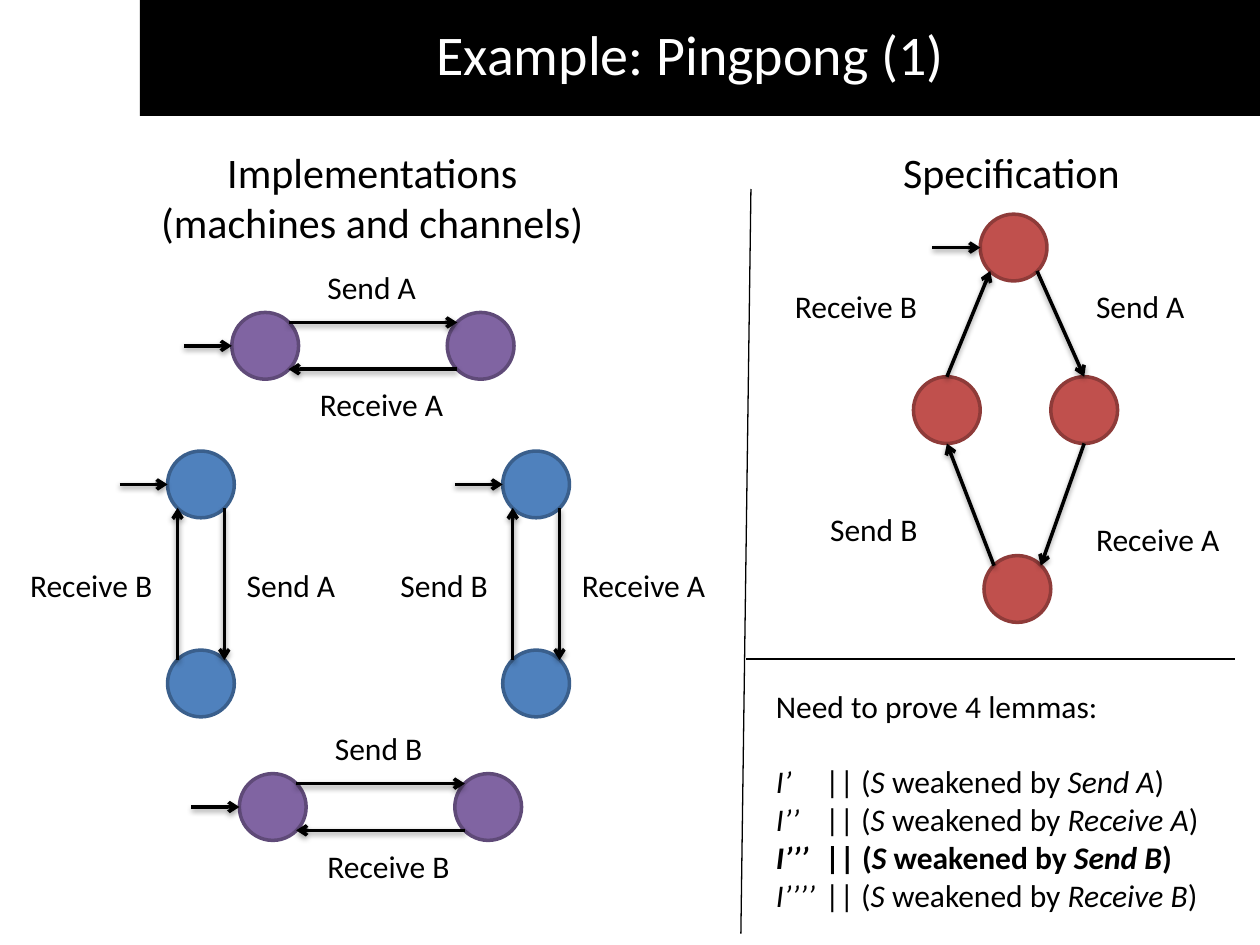
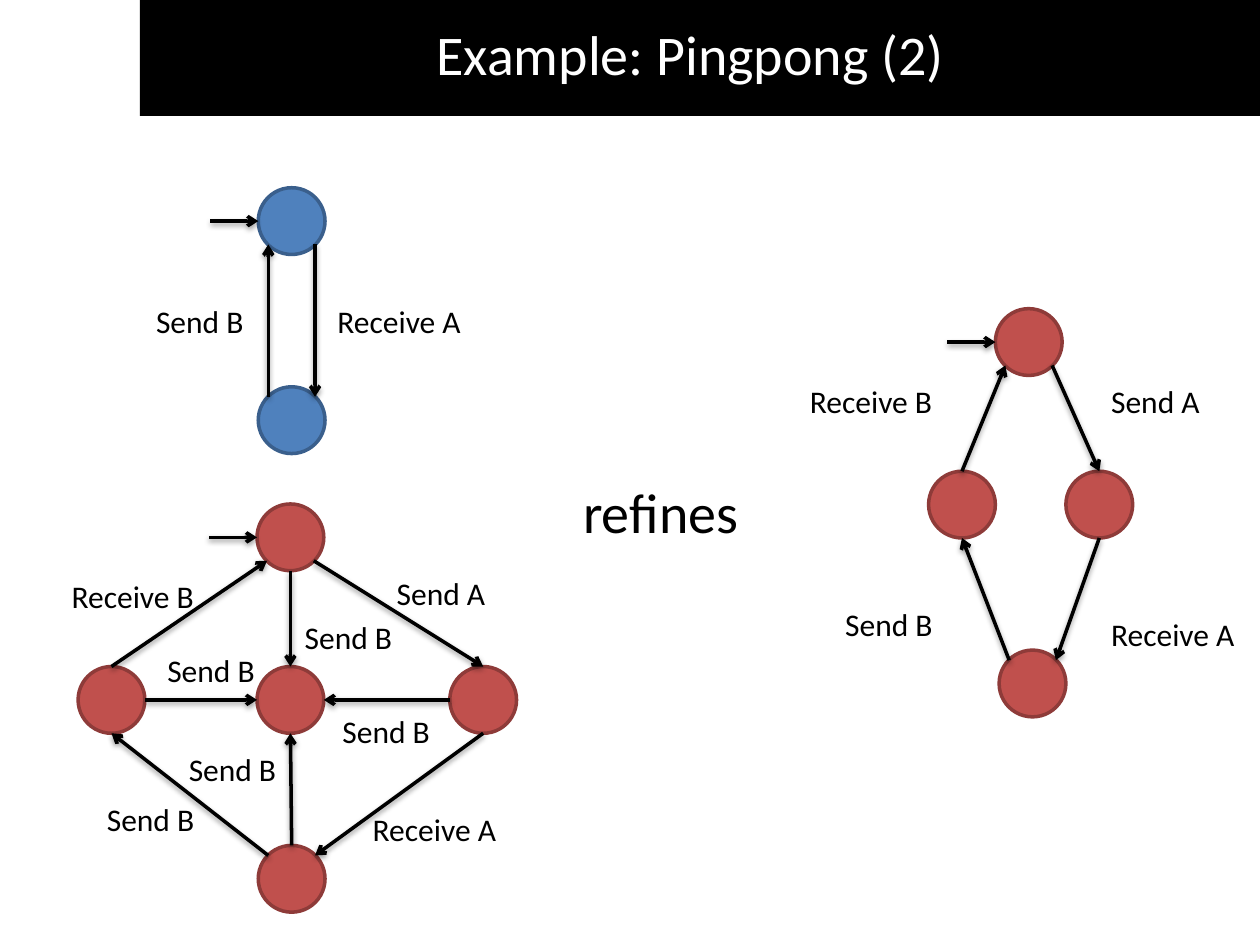
"""Build the two Pingpong slides: state machines, their specification and the refinement."""
from dataclasses import dataclass
from typing import NamedTuple, Union

import lxml.etree
import pptx
import pptx.dml.color
import pptx.enum.shapes
import pptx.enum.text
import pptx.oxml
import pptx.oxml.ns
import pptx.shapes.connector
import pptx.shapes.shapetree
import pptx.slide
import pptx.text.text
import pptx.util

COLORS = {
    "ink": "000000",
    "paper": "FFFFFF",
    "machine": "4F81BD",
    "machine_edge": "3A5F8C",
    "channel": "8064A2",
    "channel_edge": "5F4A78",
    "specification": "C0504D",
    "specification_edge": "8E3B39",
}
FONT = "Calibri"
WIDTH, HEIGHT = pptx.util.Inches(10), pptx.util.Inches(7.5)
COLUMNS, ROWS = 100, 75
STATE = 5.3
LABEL_HEIGHT = 4
LABEL_WIDTHS = {"Send A": 9.1, "Receive A": 11.9, "Send B": 9.0, "Receive B": 11.8}
SIDES = {
    "N": (0.5, 0), "NE": (0.85, 0.15), "E": (1, 0.5), "SE": (0.85, 0.85),
    "S": (0.5, 1), "SW": (0.15, 0.85), "W": (0, 0.5), "NW": (0.15, 0.15),
}
SHADOW = (
    '<a:effectLst xmlns:a="http://schemas.openxmlformats.org/drawingml/2006/main">'
    '<a:outerShdw blurRad="40000" dist="20000" dir="5400000" rotWithShape="0">'
    '<a:srgbClr val="000000"><a:alpha val="38000"/></a:srgbClr>'
    "</a:outerShdw></a:effectLst>"
)
Shapes = Union[pptx.shapes.shapetree.SlideShapes, pptx.shapes.shapetree.GroupShapes]


class Point(NamedTuple):
    """A place in columns and rows."""
    x: float
    y: float

    def shifted(self, x: float, y: float) -> "Point":
        """Return the place moved by columns and rows."""
        return Point(self.x + x, self.y + y)


class Run(NamedTuple):
    """A stretch of text in one style."""
    text: str
    italic: bool = False
    bold: bool = False


class Transition(NamedTuple):
    """An arrow from a side of one state to a side of another."""
    source: str
    leaving: str
    target: str
    entering: str


class Label(NamedTuple):
    """An action name placed relative to the start state."""
    action: str
    x: float
    y: float


@dataclass(frozen=True)
class Machine:
    """A state machine whose parts are placed relative to its start state."""
    kind: str
    states: dict[str, Point]
    transitions: tuple[Transition, ...]
    labels: tuple[Label, ...]


def vertical_pair(down: str, up: str) -> Machine:
    """Describe two machine states, one above the other."""
    return Machine(
        "machine",
        {"start": Point(0, 0), "end": Point(0, 15.8)},
        (Transition("start", "SE", "end", "NE"), Transition("end", "NW", "start", "SW")),
        (Label(down, STATE, 8.6), Label(up, -0.1 - LABEL_WIDTHS[up], 8.6)),
    )


def horizontal_pair(forth: str, back: str) -> Machine:
    """Describe two channel states side by side."""
    return Machine(
        "channel",
        {"start": Point(0, 0), "end": Point(17.1, 0)},
        (Transition("start", "NE", "end", "NW"), Transition("end", "SW", "start", "SE")),
        (Label(forth, 6.6, -LABEL_HEIGHT), Label(back, 6, STATE)),
    )


def diamond(left: float, right: float, bottom: float, send_a: Label) -> Machine:
    """Describe the four specification states in a cycle."""
    return Machine(
        "specification",
        {"start": Point(0, 0), "right": Point(right, 12.9),
         "bottom": Point(bottom, 27.1), "left": Point(left, 12.9)},
        (Transition("start", "SE", "right", "N"), Transition("right", "S", "bottom", "NE"),
         Transition("bottom", "NW", "left", "S"), Transition("left", "N", "start", "SW")),
        (send_a, Label("Receive A", 8.2, 23.8),
         Label("Send B", -12.9, 23), Label("Receive B", -15.7, 5.3)),
    )


def weakened(cycle: Machine) -> Machine:
    """Add a central state that every state reaches by Send B."""
    return Machine(
        cycle.kind,
        {**cycle.states, "centre": Point(0, 12.9)},
        cycle.transitions + (
            Transition("bottom", "N", "centre", "S"), Transition("left", "E", "centre", "W"),
            Transition("start", "S", "centre", "N"), Transition("right", "W", "centre", "E")),
        cycle.labels + tuple(Label("Send B", x, y) for x, y in
                             ((-6.4, 19), (-8.1, 11.2), (2.8, 8.6), (5.8, 16))),
    )


SPECIFICATION = diamond(-5.3, 5.6, 0.3, Label("Send A", 8.2, 5.3))
WEAKENED = weakened(diamond(-14.2, 15.3, 0.1, Label("Send A", 10.1, 5.1)))


def across(columns: float) -> int:
    """Convert columns to a length."""
    return round(WIDTH * columns / COLUMNS)


def down(rows: float) -> int:
    """Convert rows to a length."""
    return round(HEIGHT * rows / ROWS)


def color(name: str) -> pptx.dml.color.RGBColor:
    """Look up a named colour."""
    return pptx.dml.color.RGBColor.from_string(COLORS[name])


def add_runs(paragraph: pptx.text.text._Paragraph, runs: tuple[Run, ...],
             size: float, ink: str = "ink") -> None:
    """Write styled runs into a paragraph."""
    for part in runs:
        run = paragraph.add_run()
        run.text = part.text
        run.font.name = FONT
        run.font.size = pptx.util.Pt(size)
        run.font.italic = part.italic
        run.font.bold = part.bold
        run.font.color.rgb = color(ink)


def add_text(shapes: Shapes, at: Point, width: float, height: float,
             lines: list[tuple[Run, ...]], size: float = 18, wrap: bool = False,
             align: pptx.enum.text.PP_ALIGN = pptx.enum.text.PP_ALIGN.LEFT,
             ) -> pptx.text.text.TextFrame:
    """Add a text box with one paragraph per line."""
    frame = shapes.add_textbox(across(at.x), down(at.y), across(width), down(height)).text_frame
    frame.word_wrap = wrap
    frame.auto_size = pptx.enum.text.MSO_AUTO_SIZE.SHAPE_TO_FIT_TEXT
    for index, runs in enumerate(lines):
        paragraph = frame.add_paragraph() if index else frame.paragraphs[0]
        paragraph.alignment = align
        add_runs(paragraph, runs, size)
    return frame


def add_line(shapes: Shapes, start: Point, end: Point,
             weight: float) -> pptx.shapes.connector.Connector:
    """Add a straight black line."""
    line = shapes.add_connector(pptx.enum.shapes.MSO_CONNECTOR.STRAIGHT,
                                across(start.x), down(start.y), across(end.x), down(end.y))
    line.line.color.rgb = color("ink")
    line.line.width = pptx.util.Pt(weight)
    return line


def add_divider(shapes: Shapes, start: Point, end: Point) -> None:
    """Add a thin flat line between parts of the slide."""
    divider = add_line(shapes, start, end, 0.75)
    lxml.etree.SubElement(divider.element.spPr, pptx.oxml.ns.qn("a:effectLst"))


def add_arrow(shapes: Shapes, start: Point, end: Point) -> None:
    """Add a shadowed arrow."""
    properties = add_line(shapes, start, end, 2).element.spPr
    outline = properties.find(pptx.oxml.ns.qn("a:ln"))
    lxml.etree.SubElement(outline, pptx.oxml.ns.qn("a:tailEnd"), type="arrow")
    properties.append(pptx.oxml.parse_xml(SHADOW))


def add_machine(slide: pptx.slide.Slide, machine: Machine, origin: Point) -> None:
    """Draw a machine with its start state at the origin."""
    shapes = slide.shapes.add_group_shape().shapes
    places = {name: origin.shifted(*offset) for name, offset in machine.states.items()}
    for place in places.values():
        state = shapes.add_shape(pptx.enum.shapes.MSO_SHAPE.OVAL, across(place.x),
                                 down(place.y), across(STATE), down(STATE))
        state.shadow.inherit = False
        state.fill.solid()
        state.fill.fore_color.rgb = color(machine.kind)
        state.line.color.rgb = color(f"{machine.kind}_edge")
        state.line.width = pptx.util.Pt(2)

    def side(name: str, direction: str) -> Point:
        """Return the place of a side of a state."""
        return places[name].shifted(*(STATE * share for share in SIDES[direction]))

    entry = side("start", "W")
    add_arrow(shapes, entry.shifted(-3.8, 0), entry)
    for move in machine.transitions:
        add_arrow(shapes, side(move.source, move.leaving), side(move.target, move.entering))
    for label in machine.labels:
        add_text(shapes, origin.shifted(label.x, label.y), LABEL_WIDTHS[label.action],
                 LABEL_HEIGHT, [(Run(label.action),)])


def add_titled_slide(deck: pptx.presentation.Presentation, heading: str) -> pptx.slide.Slide:
    """Add a slide with its heading on the black band."""
    slide = deck.slides.add_slide(deck.slide_layouts.get_by_name("Title Only"))
    band = slide.shapes.add_shape(pptx.enum.shapes.MSO_SHAPE.RECTANGLE, across(11.1), 0,
                                  across(88.9), down(9.2))
    band.shadow.inherit = False
    band.fill.solid()
    band.fill.fore_color.rgb = color("ink")
    band.line.fill.background()
    title = slide.shapes.title
    title.element.addprevious(band.element)
    title.left, title.top = across(9.6), down(1)
    title.width, title.height = across(90.4), down(6.4)
    title.text_frame.vertical_anchor = pptx.enum.text.MSO_ANCHOR.MIDDLE
    paragraph = title.text_frame.paragraphs[0]
    paragraph.alignment = pptx.enum.text.PP_ALIGN.CENTER
    add_runs(paragraph, (Run(heading),), 32, "paper")
    return slide


def lemma(machine: str, action: str, bold: bool = False) -> tuple[Run, ...]:
    """Compose one lemma."""
    parts = (machine, "\t|| (", "S", " weakened by ", action, ")")
    return tuple(Run(text, index % 2 == 0, bold) for index, text in enumerate(parts))


def add_lemmas(slide: pptx.slide.Slide) -> None:
    """Write the lemmas with their bars aligned at a tab stop."""
    lines = [(Run("Need to prove 4 lemmas:"),), lemma("I’", "Send A"), lemma("I’’", "Receive A"),
             lemma("I’’’", "Send B", bold=True), lemma("I’’’’", "Receive B")]
    frame = add_text(slide.shapes, Point(60.6, 54), 36.4, 19.2, lines, wrap=True)
    introduction, *lemmas = frame.paragraphs
    introduction.space_after = pptx.util.Pt(21.6)
    for paragraph in lemmas:
        stops = lxml.etree.SubElement(paragraph._p.get_or_add_pPr(), pptx.oxml.ns.qn("a:tabLst"))
        lxml.etree.SubElement(stops, pptx.oxml.ns.qn("a:tab"), pos=str(across(3.9)), algn="l")


def build_components(deck: pptx.presentation.Presentation) -> None:
    """Build the slide of implementations, specification and lemmas."""
    slide = add_titled_slide(deck, "Example: Pingpong (1)")
    add_machine(slide, vertical_pair("Send A", "Receive B"), Point(13.3, 35.8))
    add_machine(slide, vertical_pair("Receive A", "Send B"), Point(39.9, 35.8))
    add_machine(slide, horizontal_pair("Send A", "Receive A"), Point(18.4, 24.8))
    add_machine(slide, horizontal_pair("Send B", "Receive B"), Point(19, 61.4))
    add_machine(slide, SPECIFICATION, Point(77.8, 17))
    add_text(slide.shapes, Point(11.6, 11.1), 35.9, 9.1,
             [(Run("Implementations"),), (Run("(machines and channels)"),)], 24,
             align=pptx.enum.text.PP_ALIGN.CENTER)
    add_text(slide.shapes, Point(70.7, 11.1), 19.4, 5, [(Run("Specification"),)], 24)
    add_divider(slide.shapes, Point(59.6, 15), Point(58.8, 74.1))
    add_divider(slide.shapes, Point(59.2, 52.3), Point(98, 52.3))
    add_lemmas(slide)


def build_refinement(deck: pptx.presentation.Presentation) -> None:
    """Build the slide of the refinement between machines."""
    slide = add_titled_slide(deck, "Example: Pingpong (2)")
    add_machine(slide, vertical_pair("Receive A", "Send B"), Point(20.5, 14.9))
    add_machine(slide, SPECIFICATION, Point(79, 24.5))
    add_machine(slide, WEAKENED, Point(20.4, 40))
    add_text(slide.shapes, Point(45.3, 37.4), 14.5, 6.4, [(Run("refines"),)], 32)


def main() -> None:
    """Build and save the deck."""
    deck = pptx.Presentation()
    deck.slide_width, deck.slide_height = WIDTH, HEIGHT
    build_components(deck)
    build_refinement(deck)
    deck.save("out.pptx")


if __name__ == "__main__":
    main()
